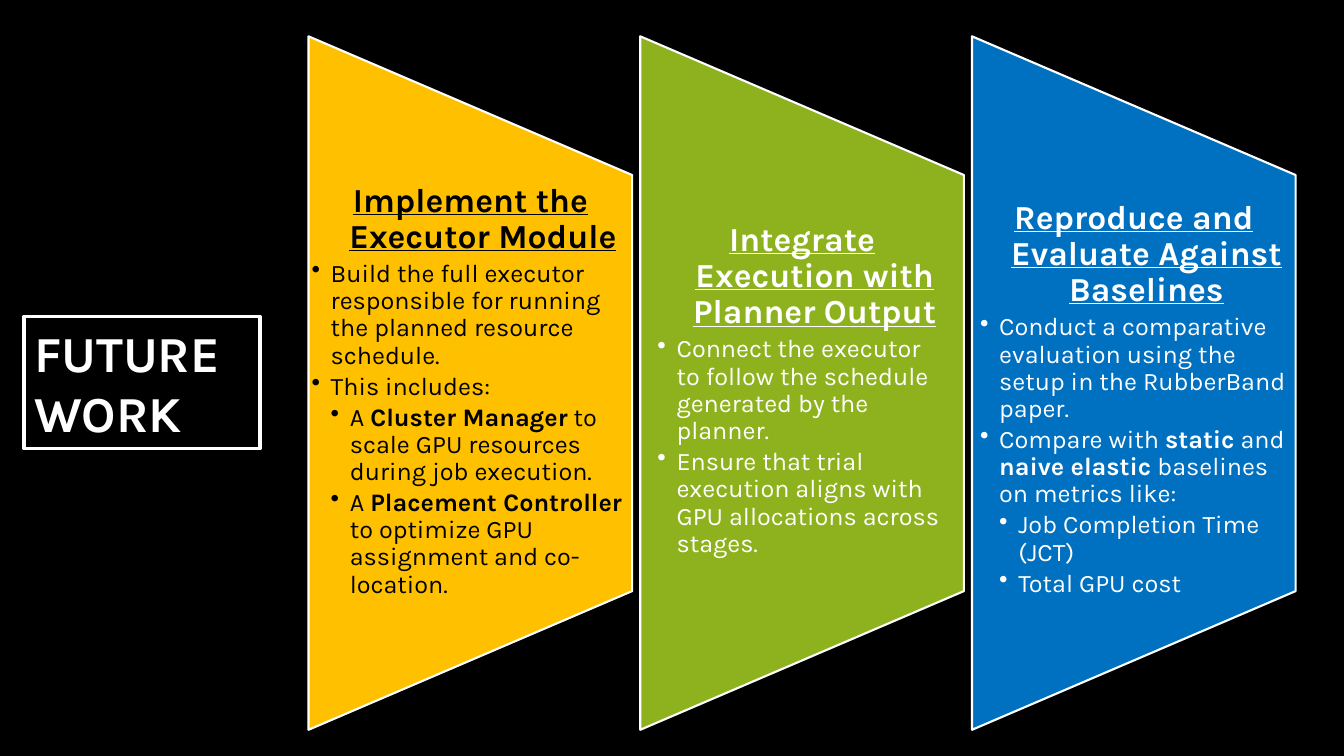
from pptx import Presentation
from pptx.dml.color import RGBColor
from pptx.enum import shapes, text
from pptx.oxml import parse_xml
from pptx.oxml.ns import nsdecls
from pptx.util import Inches, Pt

FONT = "Karla"
COLORS = {"black": "000000", "white": "FFFFFF", "yellow": "FFC000",
          "green": "8EB21E", "blue": "0070C0"}

# Bullets are (level, text); ** switches bold on and off.
COLUMNS = [
    dict(fill="yellow", ink="black", side=0.03, top=0.08,
         heading="Implement the Executor Module",
         bullets=[
             (1, "Build the full executor responsible for running the planned resource schedule."),
             (1, "This includes:"),
             (2, "A **Cluster Manager** to scale GPU resources during job execution."),
             (2, "A **Placement Controller** to optimize GPU assignment and co-location."),
         ]),
    dict(fill="green", ink="white", side=0.17, top=0.47,
         heading="Integrate Execution with Planner Output",
         bullets=[
             (1, "Connect the executor to follow the schedule generated by the planner."),
             (1, "Ensure that trial execution aligns with GPU allocations across stages."),
         ]),
    dict(fill="blue", ink="white", side=0.08, top=0.25,
         heading="Reproduce and Evaluate Against Baselines",
         bullets=[
             (1, "Conduct a comparative evaluation using the setup in the RubberBand paper."),
             (1, "Compare with **static** and **naive elastic** baselines on metrics like:"),
             (2, "Job Completion Time (JCT)"),
             (2, "Total GPU cost"),
         ]),
]


def rgb(name):
    return RGBColor.from_string(COLORS[name])


def write(p, words, size, color, bold=False, underline=False):
    """Add runs to a paragraph, toggling bold at each ** mark."""
    for i, part in enumerate(words.split("**")):
        if not part:
            continue
        r = p.add_run()
        r.text = part
        r.font.name = FONT
        r.font.size = Pt(size)
        r.font.color.rgb = rgb(color)
        r.font.bold = bold != (i % 2 == 1)
        r.font.underline = underline


def indent(p, left, hanging, bullet=None):
    pPr = p._p.get_or_add_pPr()
    pPr.set("marL", str(Inches(left)))
    pPr.set("indent", str(-Inches(hanging)))
    if bullet:
        pPr.append(parse_xml(f'<a:buChar {nsdecls("a")} char="{bullet}"/>'))


def add_panel(s, kind, x, y, w, h, line_width, fill=None):
    sp = s.shapes.add_shape(kind, Inches(x), Inches(y), Inches(w), Inches(h))
    sp.shadow.inherit = False
    if fill:
        sp.fill.solid()
        sp.fill.fore_color.rgb = rgb(fill)
    else:
        sp.fill.background()
    sp.line.color.rgb = rgb("white")
    sp.line.width = Pt(line_width)
    return sp


def add_title(s, x, y, w, h):
    sp = add_panel(s, shapes.MSO_SHAPE.RECTANGLE, x, y, w, h, 2.5)
    tf = sp.text_frame
    tf.word_wrap = True
    tf.vertical_anchor = text.MSO_ANCHOR.MIDDLE
    p = tf.paragraphs[0]
    p.alignment = text.PP_ALIGN.LEFT
    write(p, "FUTURE WORK", 36, "white", bold=True)


def add_column(s, x, y, w, h, column):
    """Draw a panel tapering to the right, with its heading and bullets."""
    # The shape is laid out on its side, then turned about its centre.
    panel = add_panel(s, shapes.MSO_SHAPE.FLOWCHART_MANUAL_OPERATION,
                      x + (w - h) / 2, y + (h - w) / 2, h, w, 1.5, column["fill"])
    panel.rotation = 270

    box = s.shapes.add_textbox(Inches(x), Inches(y + h / 5), Inches(w), Inches(h * 0.6))
    tf = box.text_frame
    tf.word_wrap = True
    tf.margin_left = tf.margin_right = Inches(column["side"])
    tf.margin_top, tf.margin_bottom = Inches(column["top"]), 0

    p = tf.paragraphs[0]
    p.alignment = text.PP_ALIGN.CENTER
    p.line_spacing = 0.9
    p.space_after = Pt(3.6)
    indent(p, 0.25, 0.25)
    write(p, column["heading"], 24, column["ink"], bold=True, underline=True)

    for level, words in column["bullets"]:
        p = tf.add_paragraph()
        p.level = level
        p.line_spacing = 0.9
        p.space_after = Pt(2.7)
        indent(p, 0.19 * level, 0.19, "•")
        write(p, words, 18, column["ink"])


def main():
    prs = Presentation()
    prs.slide_width, prs.slide_height = Inches(13.33), Inches(7.5)
    s = prs.slides.add_slide(prs.slide_layouts[6])
    s.background.fill.solid()
    s.background.fill.fore_color.rgb = rgb("black")

    for i, column in enumerate(COLUMNS):
        add_column(s, 3.06 + i * 3.29, 0.36, 3.21, 6.88, column)
    add_title(s, 0.24, 3.14, 2.34, 1.31)
    prs.save("out.pptx")


if __name__ == "__main__":
    main()
